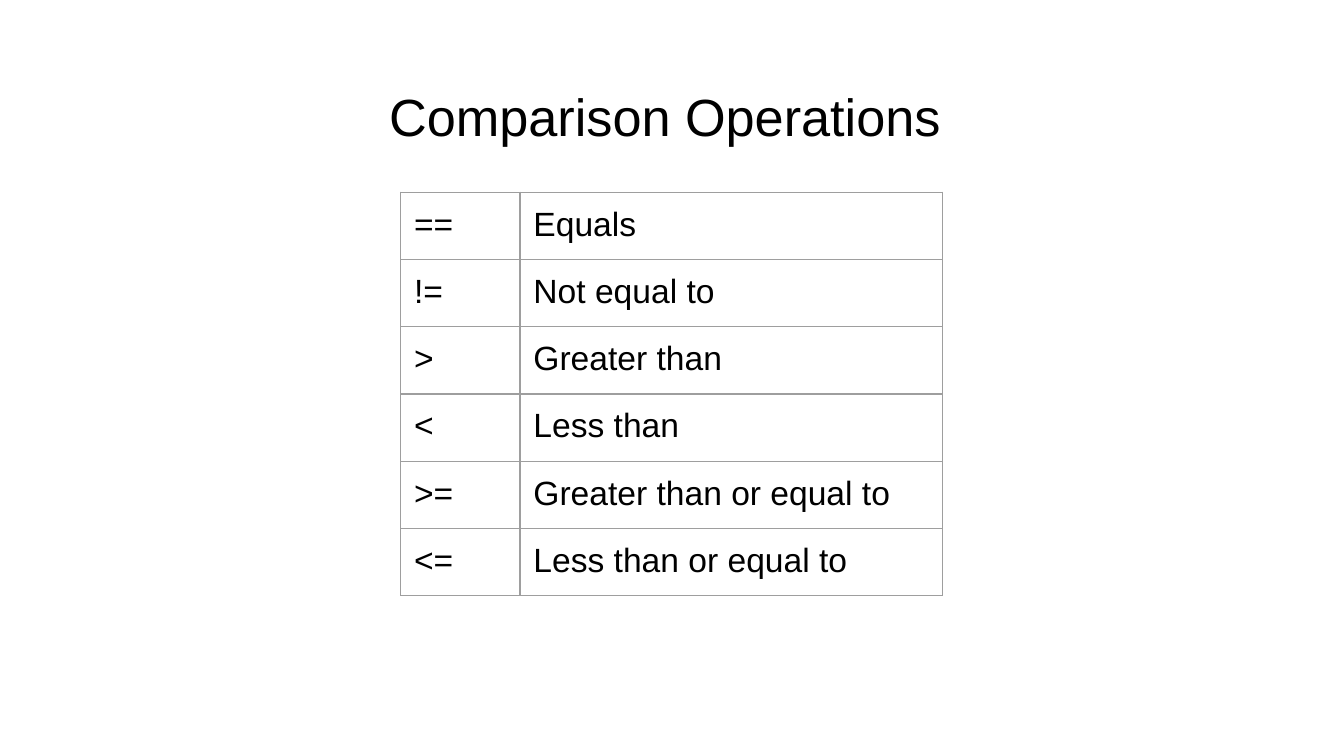
from lxml import etree
from pptx import Presentation
from pptx.dml.color import RGBColor
from pptx.enum.text import MSO_ANCHOR, PP_ALIGN
from pptx.oxml.ns import qn
from pptx.util import Pt

TOP = MSO_ANCHOR.TOP
LEFT, CENTER = PP_ALIGN.LEFT, PP_ALIGN.CENTER
PAD = Pt(7.2)
ROWS = [
    ("==", "Equals"),
    ("!=", "Not equal to"),
    (">", "Greater than"),
    ("<", "Less than"),
    (">=", "Greater than or equal to"),
    ("<=", "Less than or equal to"),
]


def color(code):
    """Turn a hex string into a colour."""
    return RGBColor.from_string(code)


def write(frame, text, size, align):
    """Fill a text frame with one styled paragraph."""
    para = frame.paragraphs[0]
    para.text = text
    para.alignment = align
    para.font.size = Pt(size)
    para.font.name = "Arial"
    para.font.color.rgb = color("000000")


def add_title(slide, text):
    """Add the centred title."""
    box = slide.shapes.add_textbox(Pt(24.5), Pt(38), Pt(671), Pt(45.4))
    frame = box.text_frame
    frame.word_wrap = True
    frame.vertical_anchor = TOP
    frame.margin_left = frame.margin_right = PAD
    frame.margin_top = frame.margin_bottom = PAD
    write(frame, text, 28, CENTER)


def add_edges(cell, code, width):
    """Draw a thin line on all four sides of a cell."""
    props = cell._tc.get_or_add_tcPr()
    for spot, side in enumerate(("a:lnL", "a:lnR", "a:lnT", "a:lnB")):
        line = etree.Element(qn(side), w=str(Pt(width)))
        fill = etree.SubElement(line, qn("a:solidFill"))
        etree.SubElement(fill, qn("a:srgbClr"), val=code)
        props.insert(spot, line)


def add_grid(slide, rows, widths, height):
    """Add the table of operators and their meanings."""
    shape = slide.shapes.add_table(
        len(rows), len(widths), Pt(214.6), Pt(103),
        Pt(sum(widths)), Pt(height * len(rows)))
    table = shape.table
    table.first_row = table.horz_banding = False
    for col, width in zip(table.columns, widths):
        col.width = Pt(width)
    for row, texts in zip(table.rows, rows):
        row.height = Pt(height)
        for cell, text in zip(row.cells, texts):
            cell.margin_left = cell.margin_right = PAD
            cell.margin_top = cell.margin_bottom = PAD
            cell.fill.background()
            write(cell.text_frame, text, 18, LEFT)
            add_edges(cell, "9E9E9E", 0.75)


def main():
    """Build and save the slide."""
    deck = Presentation()
    deck.slide_width, deck.slide_height = Pt(720), Pt(405)
    slide = deck.slides.add_slide(deck.slide_layouts[6])
    slide.background.fill.solid()
    slide.background.fill.fore_color.rgb = color("FFFFFF")
    add_title(slide, "Comparison Operations ")
    add_grid(slide, ROWS, (64, 226.5), 34.5)
    deck.save("out.pptx")


main()
